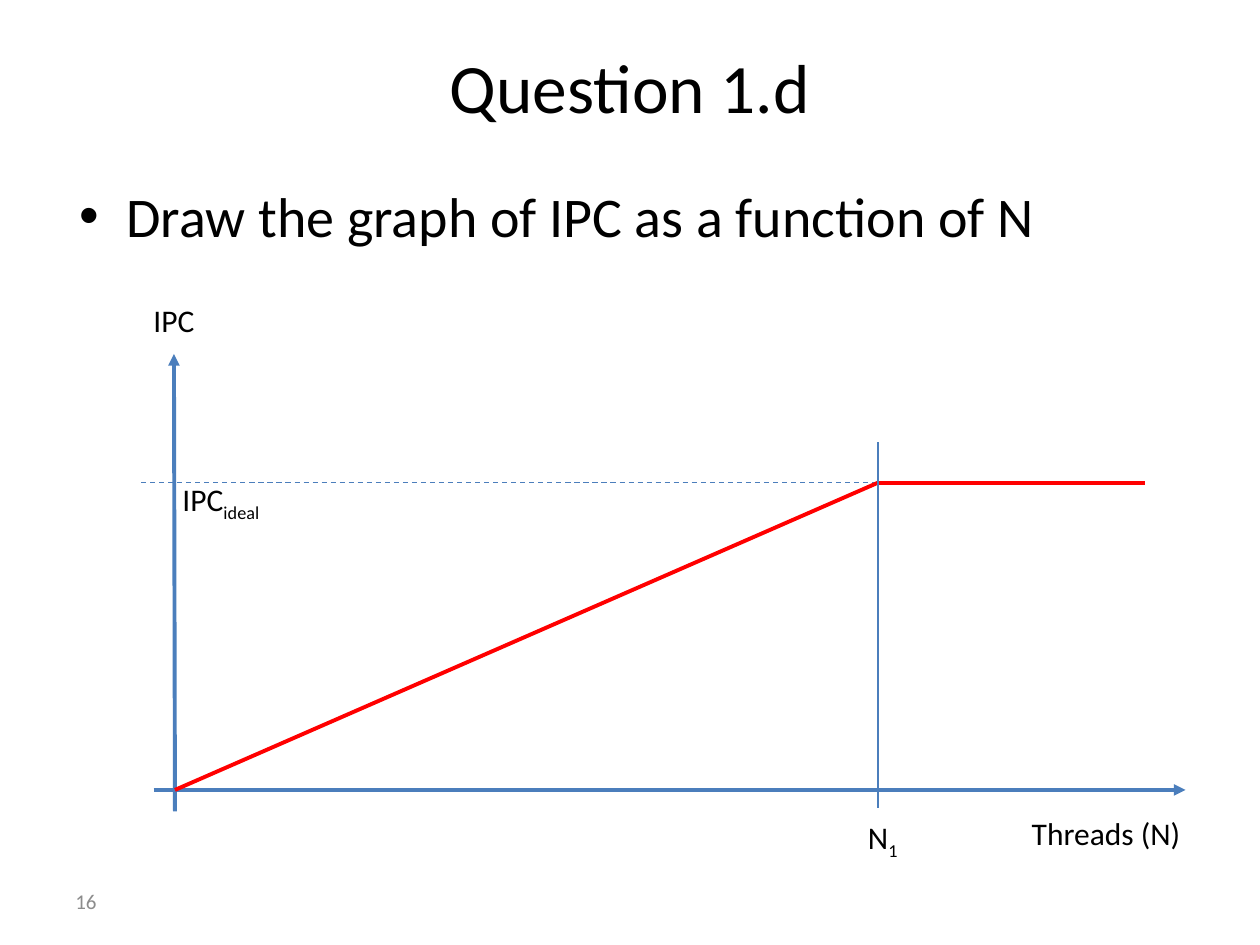
import pptx
import pptx.dml.color
import pptx.enum.dml
import pptx.enum.shapes
import pptx.enum.text
import pptx.oxml.ns
import pptx.util
from lxml import etree

Pt = pptx.util.Pt
ALIGN = pptx.enum.text.PP_ALIGN
ANCHOR = pptx.enum.text.MSO_ANCHOR
COLOURS = {"text": "000000", "number": "8C8C8C", "axis": "4B7EBC", "curve": "FF0000"}

# Landmarks of the graph, in points
ORIGIN_X, ORIGIN_Y = 100, 451.4
KNEE_X, IDEAL_Y = 501.8, 275.8
CURVE_END = 654.5


def add_element(parent, tag, **attributes):
    return etree.SubElement(parent, pptx.oxml.ns.qn(tag), **attributes)


def place(shape, left, top, width, height):
    shape.left, shape.top = Pt(left), Pt(top)
    shape.width, shape.height = Pt(width), Pt(height)


def format_span(span, size, colour="text"):
    span.font.name = "Calibri"
    span.font.size = Pt(size)
    span.font.color.rgb = pptx.dml.color.RGBColor.from_string(COLOURS[colour])


def add_title(page, text):
    title = page.shapes.title
    place(title, 36, 21.6, 648, 55.4)
    frame = title.text_frame
    frame.text = text
    frame.vertical_anchor = ANCHOR.MIDDLE
    frame.auto_size = pptx.enum.text.MSO_AUTO_SIZE.NONE
    para = frame.paragraphs[0]
    para.alignment = ALIGN.CENTER
    format_span(para.runs[0], 39.6)


def add_text(page, text, bounds, size, colour="text", anchor=ANCHOR.TOP, wrap=True):
    box = page.shapes.add_textbox(*map(Pt, bounds))
    frame = box.text_frame
    frame.word_wrap = wrap
    frame.vertical_anchor = anchor
    frame.text = text
    para = frame.paragraphs[0]
    para.alignment = ALIGN.LEFT
    format_span(para.runs[0], size, colour)
    return para


def add_bullet(para, indent):
    properties = para._p.get_or_add_pPr()
    properties.set("marL", str(Pt(indent)))
    properties.set("indent", str(-Pt(indent)))
    add_element(properties, "a:buFont", typeface="Arial")
    add_element(properties, "a:buChar", char="•")


def add_label(page, text, left, top, width, subscript=""):
    para = add_text(page, text, (left, top, width, 29), 18, wrap=False)
    if subscript:
        span = para.add_run()
        span.text = subscript
        format_span(span, 18)
        span.font._element.set("baseline", "-25000")


def add_line(page, start, end, colour="axis", width=2.25, dashed=False, arrow=False):
    line = page.shapes.add_connector(
        pptx.enum.shapes.MSO_CONNECTOR.STRAIGHT, *map(Pt, start + end))
    line.line.color.rgb = pptx.dml.color.RGBColor.from_string(COLOURS[colour])
    line.line.width = Pt(width)
    if dashed:
        line.line.dash_style = pptx.enum.dml.MSO_LINE.DASH
    if arrow:
        add_element(line.line._get_or_add_ln(), "a:tailEnd", type="triangle")
    add_element(line._element.spPr, "a:effectLst")


def add_graph(page):
    knee = (KNEE_X, IDEAL_Y)
    add_line(page, (87.8, ORIGIN_Y), (677.5, ORIGIN_Y), arrow=True)
    add_line(page, (ORIGIN_X, 463.7), (99.4, 202.3), arrow=True)
    add_label(page, "Threads (N)", 582.5, 461.5, 100.8)
    add_label(page, "IPC", 80.6, 168.5, 38.2)
    add_line(page, (80.6, IDEAL_Y), (CURVE_END, IDEAL_Y), width=0.75, dashed=True)
    add_label(page, "IPC", 97.2, 270.7, 61.9, subscript="ideal")
    add_line(page, (ORIGIN_X, ORIGIN_Y), knee, "curve")
    add_line(page, knee, (CURVE_END, IDEAL_Y), "curve")
    add_line(page, (KNEE_X, 252.7), (KNEE_X, 461.5), width=0.75)
    add_label(page, "N", 488.9, 463.7, 32.4, subscript="1")


def main():
    deck = pptx.Presentation()
    deck.slide_width, deck.slide_height = Pt(720), Pt(540)
    page = deck.slides.add_slide(deck.slide_layouts[5])
    add_title(page, "Question 1.d")
    question = add_text(page, "Draw the graph of IPC as a function of N",
                        (38.2, 100.1, 648, 96.5), 32)
    add_bullet(question, 27)
    add_text(page, "16", (36, 500.4, 167.8, 28.8), 12, "number", ANCHOR.MIDDLE)
    add_graph(page)
    deck.save("out.pptx")


if __name__ == "__main__":
    main()
